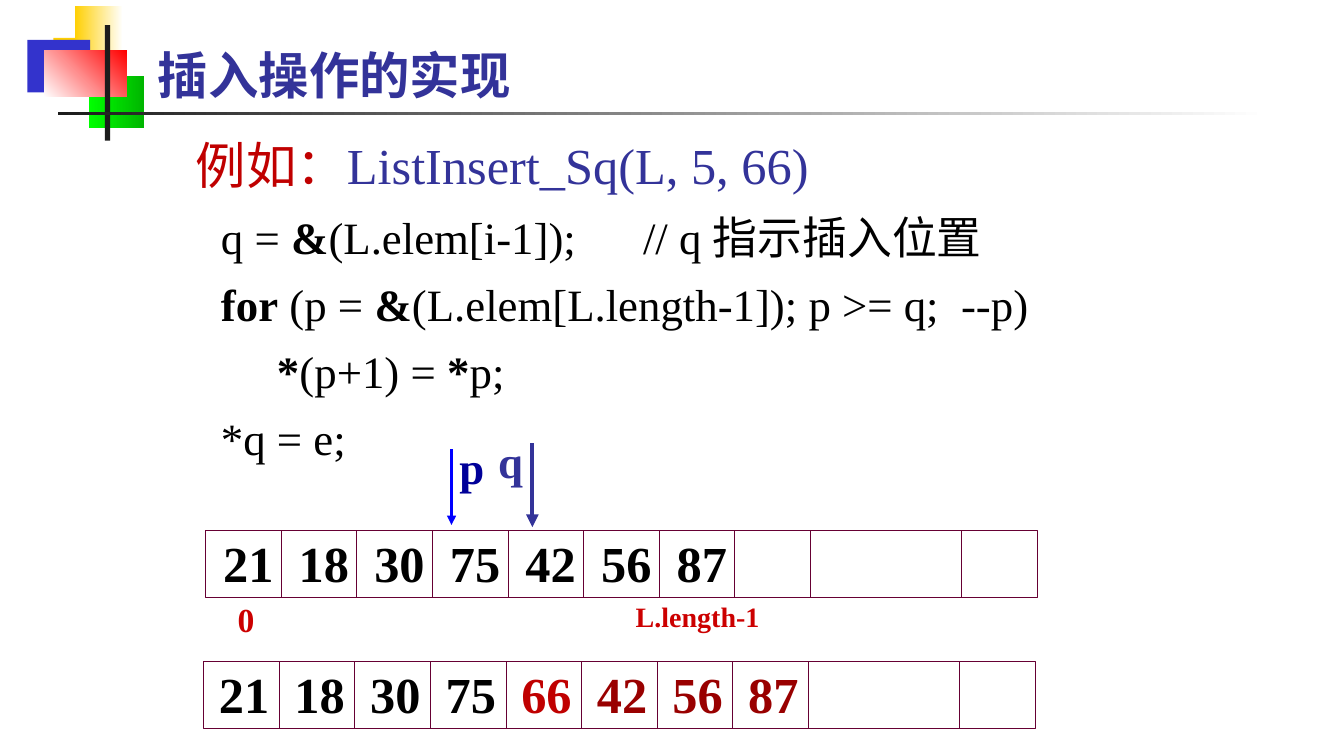
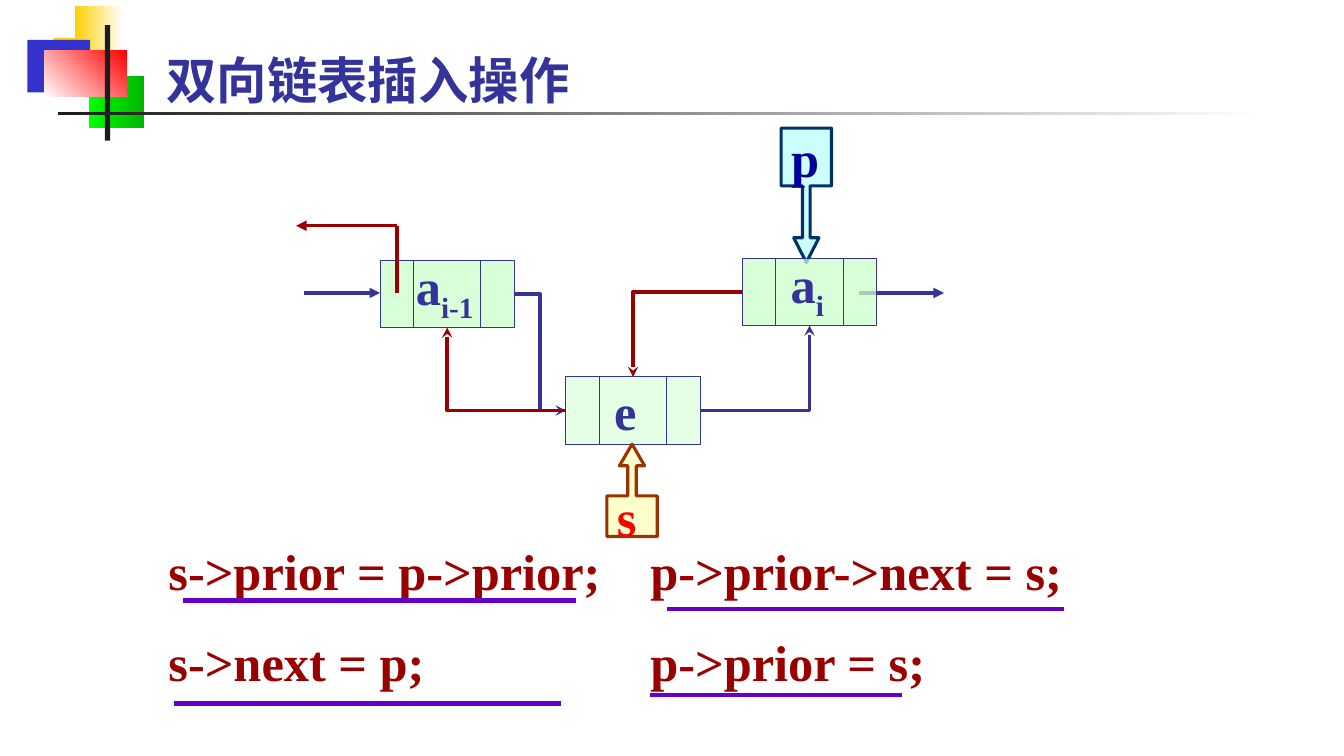
import pptx
import pptx.dml.color
import pptx.enum.shapes
import pptx.enum.text
import pptx.oxml.ns
import pptx.util
from lxml import etree

SHAPE = pptx.enum.shapes.MSO_SHAPE
CONNECTOR = pptx.enum.shapes.MSO_CONNECTOR
ANCHOR = pptx.enum.text.MSO_ANCHOR
qn = pptx.oxml.ns.qn

SCALE = 9525
LINE_HEIGHT = 1.2
SERIF = "Times New Roman"
COLORS = {
    "black": "000000", "white": "FFFFFF", "ink": "1C1C1C", "navy": "333399",
    "gold": "FFCF01", "royal": "3333CC", "lime": "00FF00", "green": "00B600",
    "red": "FF0000", "blue": "0000FF", "deep": "000099", "wine": "660033",
    "crimson": "C00000", "scarlet": "CC0000", "maroon": "990000",
    "mint": "CCFFCC", "ice": "CCFFFF", "teal": "003366", "cream": "FFFF99",
    "rust": "993300", "violet": "6600CC",
}
TOP, LEFT, BOTTOM, RIGHT = range(4)
CELL_WIDTH, CELL_HEIGHT = 72, 64
NODE_WIDTH, NODE_HEIGHT = 128, 64


def px(length):
    return pptx.util.Emu(length * SCALE)


def rgb(name):
    return pptx.dml.color.RGBColor.from_string(COLORS[name])


def set_values(target, values):
    for name, value in values.items():
        setattr(target, name, value)


class Deck:
    """Holds the shared style and the slide being drawn."""

    def __init__(self):
        self.presentation = pptx.Presentation()
        set_values(self.presentation, {"slide_width": px(1280), "slide_height": px(720)})
        self.slide = None

    def new_slide(self, title, left, top):
        self.slide = self.presentation.slides.add_slide(self.presentation.slide_layouts[6])
        self.shape(51, 36, 61, 50, fill="gold")
        self.gradient(71, 6, 46, 50, "gold", "white")
        self.shape(26, 38, 60, 50, fill="royal")
        self.gradient(85, 72, 52, 50, "lime", "green")
        self.gradient(42, 48, 79, 44, "white", "red", angle=45)
        self.shape(100, 24, 5, 110, fill="ink")
        self.gradient(55, 107, 1152, 3, "ink", "white")
        self.text(left, top, 800, 66, title, 36, "navy", font="Arial Narrow", leading=None)

    def shape(self, left, top, width, height, kind=SHAPE.RECTANGLE, fill=None,
              alpha=100, line=None, weight=0.75, adjustments=()):
        shape = self.slide.shapes.add_shape(kind, px(left), px(top), px(width), px(height))
        shape.shadow.inherit = False
        for index, value in enumerate(adjustments):
            shape.adjustments[index] = value
        if fill:
            shape.fill.solid()
            shape.fill.fore_color.rgb = rgb(fill)
            if alpha < 100:
                color = shape._element.spPr.find(qn("a:solidFill"))[0]
                etree.SubElement(color, qn("a:alpha"), val=str(alpha * 1000))
        else:
            shape.fill.background()
        if line:
            shape.line.color.rgb = rgb(line)
            shape.line.width = pptx.util.Pt(weight)
        else:
            shape.line.fill.background()
        return shape

    def gradient(self, left, top, width, height, start, end, angle=0):
        shape = self.shape(left, top, width, height)
        shape.fill.gradient()
        shape.fill.gradient_angle = angle
        for stop, color in zip(shape.fill.gradient_stops, (start, end)):
            stop.color.rgb = rgb(color)

    def fill_text(self, shape, paragraphs, size, color, bold=True, font=SERIF,
                  leading=LINE_HEIGHT, tab=None, **frame_values):
        """Fill a shape; each paragraph is a list of (text, format changes)."""
        frame = shape.text_frame
        set_values(frame, {"word_wrap": True, "vertical_anchor": ANCHOR.TOP, **frame_values})
        for index, runs in enumerate(paragraphs):
            paragraph = frame.add_paragraph() if index else frame.paragraphs[0]
            paragraph.alignment = pptx.enum.text.PP_ALIGN.LEFT
            if leading:
                paragraph.line_spacing = pptx.util.Pt(round(size * leading, 1))
            if tab:
                stops = etree.SubElement(paragraph._p.get_or_add_pPr(), qn("a:tabLst"))
                etree.SubElement(stops, qn("a:tab"), pos=str(int(px(tab))), algn="l")
            for content, changes in runs:
                run = paragraph.add_run()
                run.text = content
                set_values(run.font, {"name": font, "size": pptx.util.Pt(size),
                                      "bold": changes.get("bold", bold)})
                run.font.color.rgb = rgb(changes.get("color", color))
                if "baseline" in changes:
                    run._r.get_or_add_rPr().set("baseline", str(changes["baseline"]))

    def text(self, left, top, width, height, content, size, color, **style):
        box = self.slide.shapes.add_textbox(px(left), px(top), px(width), px(height))
        paragraphs = [[(content, {})]] if isinstance(content, str) else content
        self.fill_text(box, paragraphs, size, color, **style)

    def line(self, start, end, color, weight, head=None):
        connector = self.slide.shapes.add_connector(
            CONNECTOR.STRAIGHT, *(px(value) for value in (*start, *end)))
        self.style_line(connector, color, weight, head)

    def elbow(self, source, source_site, target, target_site, color, bends):
        connector = self.slide.shapes.add_connector(CONNECTOR.ELBOW, 0, 0, 0, 0)
        connector.begin_connect(source, source_site)
        connector.end_connect(target, target_site)
        geometry = connector._element.spPr.find(qn("a:prstGeom"))
        geometry.set("prst", f"bentConnector{bends + 1}")
        self.style_line(connector, color, 2.5, "stealth")

    def style_line(self, connector, color, weight, head):
        connector.line.color.rgb = rgb(color)
        connector.line.width = pptx.util.Pt(weight)
        properties = connector._element.spPr
        if head:
            etree.SubElement(properties.find(qn("a:ln")), qn("a:tailEnd"), type=head)
        etree.SubElement(properties, qn("a:effectLst"))

    def array(self, left, top, values, text_offset):
        """Draw a row of cells, the ninth of double width; values are (text, color)."""
        self.shape(left, top, 11 * CELL_WIDTH, CELL_HEIGHT, line="wine")
        for step in (*range(1, 9), 10):
            x = left + step * CELL_WIDTH
            self.line((x, top), (x, top + CELL_HEIGHT), "wine", 0.75)
        for index, (value, color) in enumerate(values):
            self.text(left + text_offset + index * CELL_WIDTH, top - 3,
                      CELL_WIDTH, 67, value, 36, color)

    def node(self, left, top, runs, indent, alpha):
        node = self.shape(left, top, NODE_WIDTH, NODE_HEIGHT, fill="mint",
                          alpha=alpha, line="navy")
        self.fill_text(node, [runs], 36, "navy", vertical_anchor=ANCHOR.MIDDLE,
                       margin_left=px(indent), margin_right=0)
        for x in (left + NODE_WIDTH // 4, left + NODE_WIDTH * 3 // 4):
            self.line((x, top), (x, top + NODE_HEIGHT), "navy", 0.75)
        return node

    def callout(self, left, top, height, kind, adjustments, label, color, **look):
        shape = self.shape(left, top, 48, height, kind, adjustments=adjustments,
                           weight=2.25, **look)
        self.fill_text(shape, [[(label, {})]], 36, color, vertical_anchor=ANCHOR.MIDDLE)


def array_insert_slide(deck):
    deck.new_slide("插入操作的实现", 141, 37)
    deck.text(177, 123, 640, 67,
              [[("例如：", {"color": "crimson"}), ("ListInsert_Sq(L, 5, 66)", {})]],
              36, "navy", bold=False)
    strong = {"bold": True}
    code = [
        [("q = ", {}), ("&", strong), ("(L.elem[i-1]);\t// q 指示插入位置", {})],
        [("for", strong), (" (p = ", {}), ("&", strong),
         ("(L.elem[L.length-1]); p >= q;  --p)", {})],
        [("     *", strong), ("(p+1) = ", {}), ("*", strong), ("p;", {})],
        [("*q = e;", {})],
    ]
    deck.text(201, 182, 809, 266, code, 32, "black", bold=False,
              leading=1.25 * LINE_HEIGHT, tab=402)

    deck.line((430, 428), (430, 500), "blue", 2.25, "triangle")
    deck.text(428, 414, 50, 60, "p", 32, "deep")
    deck.line((507, 422), (507, 502), "navy", 3, "triangle")
    deck.text(465, 408, 50, 60, "q", 32, "navy")

    before = [(value, "black") for value in ("21", "18", "30", "75", "42", "56", "87")]
    moved = [(value, "maroon") for value, _ in before[4:]]
    deck.array(196, 505, before, 7)
    deck.array(194, 630, [*before[:4], ("66", "crimson"), *moved], 5)
    deck.text(217, 566, 40, 48, "0", 24, "scarlet")
    deck.text(596, 566, 150, 41, "L.length-1", 20, "scarlet")


def linked_insert_slide(deck):
    deck.new_slide("双向链表插入操作", 149, 42)
    deck.callout(744, 122, 128, SHAPE.DOWN_ARROW_CALLOUT, (0.15, 0.25, 0.49, 0.43),
                 "p", "deep", fill="ice", line="teal")
    deck.line((290, 279), (362, 279), "navy", 2.5, "triangle")
    deck.line((818, 279), (899, 279), "navy", 2.5, "triangle")

    subscript = {"baseline": -25000}
    previous = deck.node(362, 248, [("a", {}), ("i-1", subscript)], 34, 75)
    current = deck.node(707, 246, [("a", {}), ("i", subscript)], 46, 75)
    inserted = deck.node(539, 359, [("e", {})], 46, 50)
    deck.callout(578, 423, 88, SHAPE.UP_ARROW_CALLOUT, (0.17, 0.25, 0.43, 0.44),
                 "s", "red", fill="cream", alpha=50, line="rust")

    deck.elbow(inserted, RIGHT, current, BOTTOM, "navy", 1)
    deck.elbow(previous, RIGHT, inserted, LEFT, "navy", 2)
    deck.elbow(current, LEFT, inserted, TOP, "maroon", 1)
    deck.elbow(inserted, LEFT, previous, BOTTOM, "maroon", 1)
    deck.line((378, 279), (378, 215), "maroon", 2.5)
    deck.line((378, 215), (282, 215), "maroon", 2.5, "triangle")

    statements = [
        ("s->prior = p->prior;", 151, 510, (174, 549, 572)),
        ("p->prior->next = s;", 610, 510, (635, 1013, 580)),
        ("s->next = p;", 151, 596, (166, 534, 670)),
        ("p->prior = s;", 610, 596, (619, 859, 662)),
    ]
    for statement, left, top, (start, end, y) in statements:
        deck.text(left, top, 450, 67, statement, 36, "maroon")
        deck.line((start, y), (end, y), "violet", 3)


def main():
    deck = Deck()
    array_insert_slide(deck)
    linked_insert_slide(deck)
    deck.presentation.save("out.pptx")


if __name__ == "__main__":
    main()
